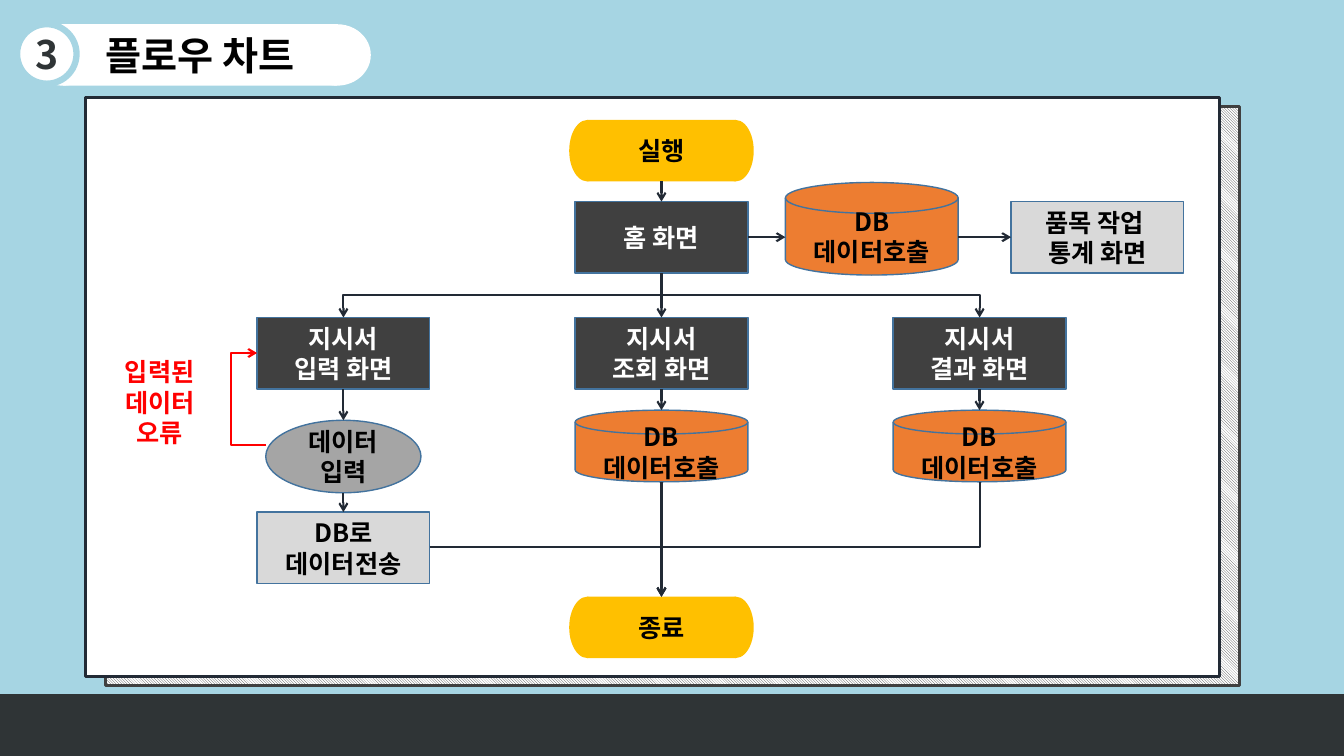
from dataclasses import dataclass

from lxml.etree import SubElement
from pptx import Presentation
from pptx.dml.color import RGBColor
from pptx.enum.dml import MSO_PATTERN
from pptx.enum.shapes import MSO_CONNECTOR, MSO_SHAPE
from pptx.enum.text import MSO_ANCHOR, PP_ALIGN
from pptx.oxml.ns import qn
from pptx.util import Pt


@dataclass(frozen=True)
class Theme:
    """Colours, font and type sizes of the slide."""
    sky: str = "A6D5E3"
    floor: str = "2F3436"
    ink: str = "222A35"
    dark: str = "404040"
    edge: str = "43739E"
    white: str = "FFFFFF"
    black: str = "000000"
    gold: str = "FFC000"
    orange: str = "ED7D31"
    gray: str = "A5A5A5"
    pale: str = "D9D9D9"
    red: str = "FF0000"
    font: str = "Noto Sans CJK KR"
    head: int = 28
    body: int = 18


class Chart:
    """Draws flow chart parts on one slide in one theme."""

    def __init__(self, slide, theme):
        self.slide, self.theme = slide, theme
        fill = slide.background.fill
        fill.solid()
        fill.fore_color.rgb = RGBColor.from_string(theme.sky)

    def label(self, shape, text, color, size):
        frame = shape.text_frame
        frame.text = text
        frame.word_wrap = True
        for para in frame.paragraphs:
            para.alignment = PP_ALIGN.CENTER
            for run in para.runs:
                font = run.font
                font.name, font.size, font.bold = self.theme.font, Pt(size), True
                font.color.rgb = RGBColor.from_string(color)
        for style in shape.element.iter(qn("a:rPr")):
            SubElement(style, qn("a:ea")).set("typeface", self.theme.font)

    def shape(self, kind, box, fill, line=None, width=1, text="", color=None, size=None, group=None):
        home = group.shapes if group else self.slide.shapes
        item = home.add_shape(kind, *map(Pt, box))
        item.shadow.inherit = False
        item.fill.solid()
        item.fill.fore_color.rgb = RGBColor.from_string(fill)
        if line:
            item.line.color.rgb = RGBColor.from_string(line)
            item.line.width = Pt(width)
        else:
            item.line.fill.background()
        if text:
            item.text_frame.vertical_anchor = MSO_ANCHOR.MIDDLE
            self.label(item, text, color or self.theme.black, size or self.theme.body)
        return item

    def hatch(self, box):
        item = self.shape(MSO_SHAPE.RECTANGLE, box, self.theme.white, self.theme.dark, 2)
        item.fill.patterned()
        item.fill.pattern = MSO_PATTERN.DARK_DOWNWARD_DIAGONAL
        item.fill.fore_color.rgb = RGBColor.from_string(self.theme.dark)
        item.fill.back_color.rgb = RGBColor.from_string(self.theme.white)

    def pill(self, box, cap, fill, text, size=None):
        left, top, width, high = box
        group = self.slide.shapes.add_group_shape()
        for edge in (left + width - cap, left):
            self.shape(MSO_SHAPE.OVAL, (edge, top, cap, high), fill, group=group)
        self.shape(MSO_SHAPE.RECTANGLE, (left + cap / 2, top, width - cap, high), fill,
                   text=text, size=size, group=group)

    def node(self, kind, mid, top, size, fill, text, color=None):
        width, high = size
        self.shape(kind, (mid - width / 2, top, width, high), fill, self.theme.edge,
                   text=text, color=color)

    def note(self, box, text, color):
        self.label(self.slide.shapes.add_textbox(*map(Pt, box)), text, color, self.theme.body)

    def arrow(self, start, end, color=None, kind=MSO_CONNECTOR.STRAIGHT):
        wire = self.slide.shapes.add_connector(kind, *map(Pt, (*start, *end)))
        wire.line.color.rgb = RGBColor.from_string(color or self.theme.ink)
        wire.line.width = Pt(1.5)
        props = wire.element.spPr
        SubElement(props.find(qn("a:ln")), qn("a:tailEnd")).set("type", "arrow")
        SubElement(props, qn("a:effectLst"))
        return wire

    def bend(self, start, end, form, turn=0, flip=None, rates=(), color=None):
        (ax, ay), (bx, by) = start, end
        wide, high = abs(bx - ax), abs(by - ay)
        if turn:
            wide, high = high, wide
        left, top = (ax + bx - wide) / 2, (ay + by - high) / 2
        wire = self.arrow((left, top), (left + wide, top + high), color, MSO_CONNECTOR.ELBOW)
        frame = wire.element.spPr.find(qn("a:xfrm"))
        frame.set("rot", str(turn * 60000))
        if flip:
            frame.set(flip, "1")
        shape = wire.element.spPr.find(qn("a:prstGeom"))
        shape.set("prst", form)
        for rank, rate in enumerate(rates, 1):
            guide = SubElement(shape.find(qn("a:avLst")), qn("a:gd"))
            guide.set("name", f"adj{rank}")
            guide.set("fmla", f"val {round(rate * 100000)}")


def main():
    """Build the flow chart slide and save it."""
    deck = Presentation()
    deck.slide_width, deck.slide_height = Pt(960), Pt(540)
    look = Theme()
    chart = Chart(deck.slides.add_slide(deck.slide_layouts[6]), look)
    rect, oval, disk = MSO_SHAPE.RECTANGLE, MSO_SHAPE.OVAL, MSO_SHAPE.FLOWCHART_MAGNETIC_DISK

    chart.hatch((75.6, 76.3, 810, 413.3))
    chart.shape(rect, (61.2, 69.8, 810, 413.3), look.white, look.ink, 2)
    chart.shape(rect, (0, 496.1, 960, 43.9), look.floor, look.floor)
    chart.pill((20.9, 17.3, 244, 43.9), 48.2, look.white, "플로우 차트", look.head)
    chart.shape(oval, (12.2, 17.3, 42.5, 42.5), look.white, look.sky, 4.5,
                "3", look.floor, look.head)

    step, mid = 227.2, 472.5
    low, high = mid - step, mid + step
    card = width, tall = 123.4, 51.2
    home, menu, store, send, stop = 144, 226.8, 293, 365.8, 426.2
    tank, stats, row = 622.7, 783.9, 169.4

    for top, text in ((85.7, "실행"), (stop, "종료")):
        chart.pill((mid - 65.9, top, 131.8, 43.9), 25.9, look.gold, text)
    chart.node(rect, mid, home, card, look.dark, "홈 화면", look.white)
    for spot, word in ((low, "입력"), (mid, "조회"), (high, "결과")):
        chart.node(rect, spot, menu, card, look.dark, f"지시서\n{word} 화면", look.white)
    chart.node(oval, low, 300.2, (110.9, 51.8), look.gray, "데이터 입력")
    chart.node(rect, low, send, card, look.pale, "DB로\n데이터전송")
    for spot, top, deep in ((mid, store, tall), (high, store, tall), (tank, 130.3, 66.2)):
        chart.node(disk, spot, top, (width, deep), look.orange, "DB\n데이터호출")
    chart.node(rect, stats, home, card, look.pale, "품목 작업 \n통계 화면")
    chart.note((65.5, 251.3, 97.2, 51.1), "입력된\n데이터 오류", look.red)

    base, foot = home + tall, menu + tall
    for spot, top, end in ((mid, 129.6, home), (mid, base, menu), (low, foot, 300.2),
                           (low, 352, send), (mid, foot, store), (high, foot, store),
                           (mid, store + tall, stop)):
        chart.arrow((spot, top), (spot, end))
    half = width / 2
    for left, right in ((mid, tank), (tank, stats)):
        chart.arrow((left + half, row), (right - half, row))
    chart.bend((mid, base), (low, menu), "bentConnector3", 90)
    chart.bend((mid, base), (high, menu), "bentConnector3", 270, "flipH")
    chart.bend((high, store + tall), (mid, stop), "bentConnector3", 90, rates=(0.57,))
    chart.bend((low + half, 390.9), (mid, stop), "bentConnector2")
    chart.bend((190.1, 318.2), (183.6, 252.2), "bentConnector4", 270, "flipV",
               (0, 3.87), look.red)
    deck.save("out.pptx")


if __name__ == "__main__":
    main()
